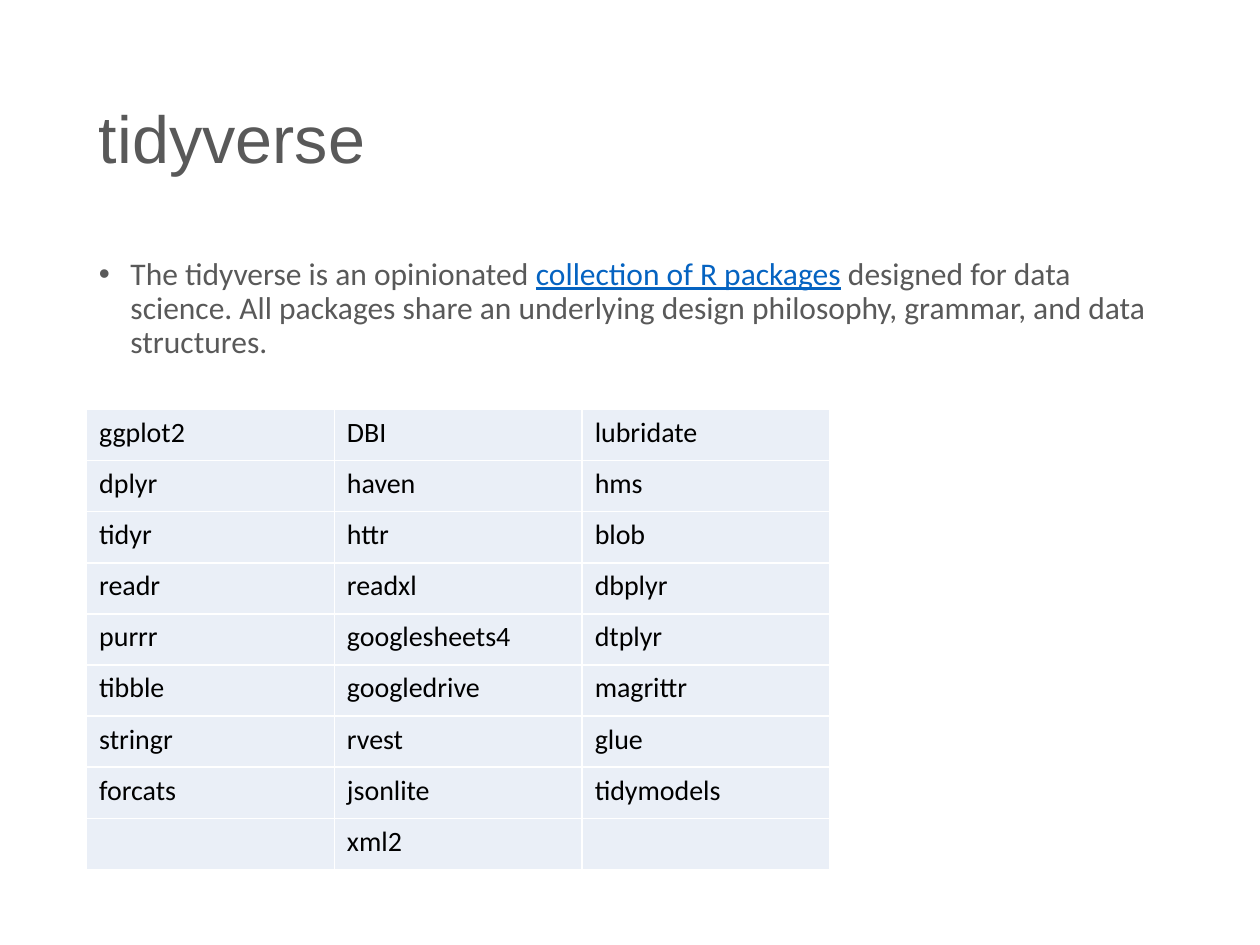
from itertools import product

from lxml.etree import SubElement
from pptx import Presentation
from pptx.dml.color import RGBColor
from pptx.enum.text import MSO_ANCHOR
from pptx.oxml.ns import qn
from pptx.util import Pt

GREY = RGBColor(0x59, 0x59, 0x59)
LINK_BLUE = RGBColor(0x05, 0x63, 0xC1)
BLACK = RGBColor(0x00, 0x00, 0x00)
WHITE = RGBColor(0xFF, 0xFF, 0xFF)
CELL_BLUE = RGBColor(0xEA, 0xEF, 0xF7)

LEFT, TEXT_WIDTH = 49.5, 621
COLUMN_WIDTH, ROW_HEIGHT = 141.6, 29.2

# One list per table column
PACKAGES = [
    ["ggplot2", "dplyr", "tidyr", "readr", "purrr", "tibble", "stringr",
     "forcats", ""],
    ["DBI", "haven", "httr", "readxl", "googlesheets4", "googledrive",
     "rvest", "jsonlite", "xml2"],
    ["lubridate", "hms", "blob", "dbplyr", "dtplyr", "magrittr", "glue",
     "tidymodels", ""],
]


def add_run(paragraph, text, size, color, font="Calibri", underline=False):
    run = paragraph.add_run()
    run.text = text
    run.font.size = Pt(size)
    run.font.name = font
    run.font.color.rgb = color
    run.font.underline = underline


def add_text_box(slide, top, height, anchor):
    """Add a wrapping text box and return its first paragraph."""
    box = slide.shapes.add_textbox(Pt(LEFT), Pt(top), Pt(TEXT_WIDTH), Pt(height))
    box.text_frame.word_wrap = True
    box.text_frame.vertical_anchor = anchor
    paragraph = box.text_frame.paragraphs[0]
    paragraph.line_spacing = 0.9
    return paragraph


def set_bullet(paragraph, indent):
    properties = paragraph._p.get_or_add_pPr()
    properties.set("marL", str(Pt(indent)))
    properties.set("indent", str(-Pt(indent)))
    SubElement(properties, qn("a:buFont"), typeface="Arial")
    SubElement(properties, qn("a:buChar"), char="•")


def style_cell(cell):
    """Give the cell white borders and a pale fill."""
    properties = cell._tc.get_or_add_tcPr()
    for side in ("lnL", "lnR", "lnT", "lnB"):
        line = SubElement(properties, qn(f"a:{side}"), w=str(Pt(1)))
        fill = SubElement(line, qn("a:solidFill"))
        SubElement(fill, qn("a:srgbClr"), val=str(WHITE))
    cell.fill.solid()
    cell.fill.fore_color.rgb = CELL_BLUE


def add_package_table(slide, top, columns):
    row_count, column_count = len(columns[0]), len(columns)
    table = slide.shapes.add_table(
        row_count, column_count, Pt(LEFT), Pt(top),
        Pt(column_count * COLUMN_WIDTH), Pt(row_count * ROW_HEIGHT)).table
    table.first_row = False
    table.horz_banding = False
    for column in table.columns:
        column.width = Pt(COLUMN_WIDTH)
    for row in table.rows:
        row.height = Pt(ROW_HEIGHT)
    for row, column in product(range(row_count), range(column_count)):
        cell = table.cell(row, column)
        style_cell(cell)
        if columns[column][row]:
            add_run(cell.text_frame.paragraphs[0], columns[column][row], 16, BLACK)


def main():
    presentation = Presentation()
    presentation.slide_width = Pt(720)
    presentation.slide_height = Pt(540)
    slide = presentation.slides.add_slide(presentation.slide_layouts[6])

    # Title
    title = add_text_box(slide, 28.8, 104.4, MSO_ANCHOR.MIDDLE)
    add_run(title, "tidyverse", 38, GREY, font="Arial")

    # Description
    description = add_text_box(slide, 144, 367.2, MSO_ANCHOR.TOP)
    description.space_before = Pt(10)
    set_bullet(description, 18)
    add_run(description, "The tidyverse is an opinionated ", 18, GREY)
    add_run(description, "collection of R packages", 18, LINK_BLUE, underline=True)
    add_run(description, " designed for data science. All packages share an "
            "underlying design philosophy, grammar, and data structures.", 18, GREY)

    # Packages
    add_package_table(slide, 234, PACKAGES)

    presentation.save("out.pptx")


if __name__ == "__main__":
    main()
